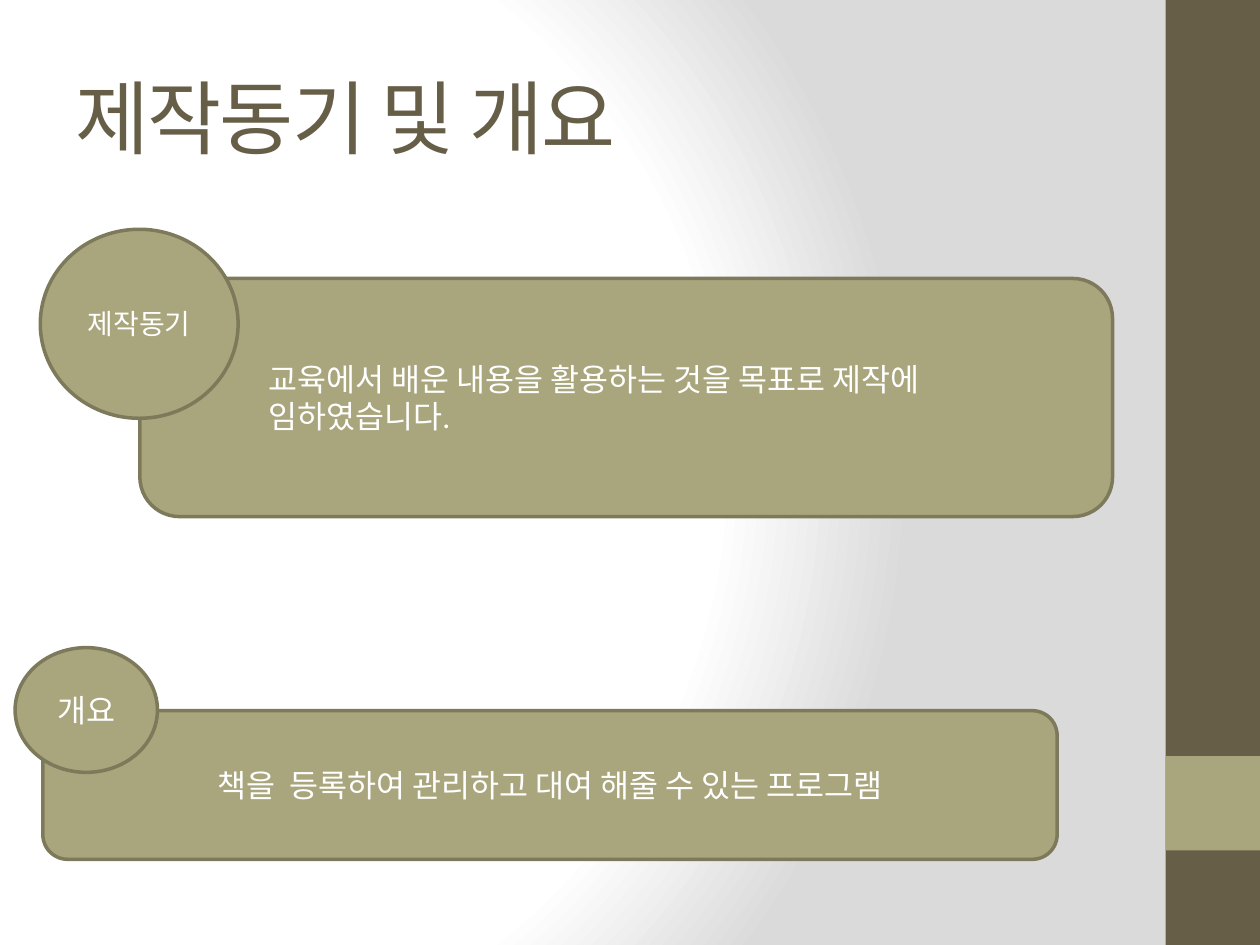
from lxml.etree import fromstring
from pptx import Presentation
from pptx.dml.color import RGBColor
from pptx.enum.shapes import MSO_SHAPE
from pptx.enum.text import MSO_ANCHOR, PP_ALIGN
from pptx.oxml.ns import qn
from pptx.util import Inches, Pt

COLORS = {
    "brown": "675E47",
    "olive": "A9A57C",
    "outline": "7D7A5C",
    "white": "FFFFFF",
    "gray": "DADADA",
}
GRADIENT_STOPS = [(0, "white"), (75, "white"), (100, "gray")]
DRAWING_NAMESPACE = "http://schemas.openxmlformats.org/drawingml/2006/main"


class SlideBuilder:
    """Hold the style and the current slide, and add each kind of element."""

    def __init__(self, page):
        self.page = page
        self.title_style = {"name": "Cambria", "size": Pt(46)}
        self.body_style = {"name": "Calibri", "size": Pt(18)}

    def color(self, name):
        return RGBColor.from_string(COLORS[name])

    def background(self):
        fill = self.page.background.fill
        fill.gradient()
        stops = "".join(
            f'<a:gs pos="{position * 1000}"><a:srgbClr val="{COLORS[name]}"/></a:gs>'
            for position, name in GRADIENT_STOPS
        )
        radial = fromstring(
            f'<a:gradFill xmlns:a="{DRAWING_NAMESPACE}" rotWithShape="1">'
            f"<a:gsLst>{stops}</a:gsLst>"
            '<a:path path="circle"><a:fillToRect l="20000" t="50000" '
            'r="100000" b="50000"/></a:path></a:gradFill>'
        )
        linear = next(self.page.element.iter(qn("a:gradFill")))
        linear.getparent().replace(linear, radial)

    def add_text(self, shape, lines, style, color, align, **frame_format):
        frame = shape.text_frame
        settings = {"word_wrap": True, "vertical_anchor": MSO_ANCHOR.MIDDLE}
        for key, value in {**settings, **frame_format}.items():
            setattr(frame, key, value)
        for index, line in enumerate(lines):
            para = frame.add_paragraph() if index else frame.paragraphs[0]
            para.alignment = align
            span = para.add_run()
            span.text = line
            for key, value in style.items():
                setattr(span.font, key, value)
            span.font.color.rgb = self.color(color)

    def title(self, place, text):
        box = self.page.shapes.add_textbox(*map(Inches, place))
        self.add_text(box, [text], self.title_style, "brown", PP_ALIGN.LEFT)
        for properties in box.element.iter(qn("a:rPr")):
            properties.set("spc", "-100")

    def block(self, kind, place, fill):
        shape = self.page.shapes.add_shape(kind, *map(Inches, place))
        shape.shadow.inherit = False
        shape.fill.solid()
        shape.fill.fore_color.rgb = self.color(fill)
        shape.line.fill.background()
        return shape

    def label(self, kind, place, lines, size=18, align=PP_ALIGN.CENTER, **frame_format):
        shape = self.block(kind, place, "olive")
        shape.line.color.rgb = self.color("outline")
        shape.line.width = Pt(2)
        style = {**self.body_style, "size": Pt(size)}
        self.add_text(shape, lines, style, "white", align, **frame_format)


def main():
    deck = Presentation()
    deck.slide_width, deck.slide_height = Inches(10), Inches(7.5)
    builder = SlideBuilder(deck.slides.add_slide(deck.slide_layouts[6]))
    builder.background()
    builder.block(MSO_SHAPE.RECTANGLE, (9.25, 0, 0.75, 7.5), "brown")
    builder.block(MSO_SHAPE.RECTANGLE, (9.25, 6, 0.75, 0.75), "olive")
    builder.title((0.5, 0.3, 8.33, 1.25), "제작동기 및 개요")
    builder.label(
        MSO_SHAPE.ROUNDED_RECTANGLE,
        (1.11, 2.21, 7.72, 1.89),
        ["교육에서 배운 내용을 활용하는 것을 목표로 제작에", "임하였습니다."],
        align=PP_ALIGN.LEFT,
        margin_left=Inches(0.93),
    )
    builder.label(MSO_SHAPE.OVAL, (0.32, 1.82, 1.57, 1.5), ["제작동기"], size=16)
    builder.label(
        MSO_SHAPE.ROUNDED_RECTANGLE,
        (0.34, 5.64, 8.05, 1.18),
        ["책을  등록하여 관리하고 대여 해줄 수 있는 프로그램"],
    )
    builder.label(MSO_SHAPE.OVAL, (0.12, 5.14, 1.13, 0.99), ["개요"])
    deck.save("out.pptx")


if __name__ == "__main__":
    main()
